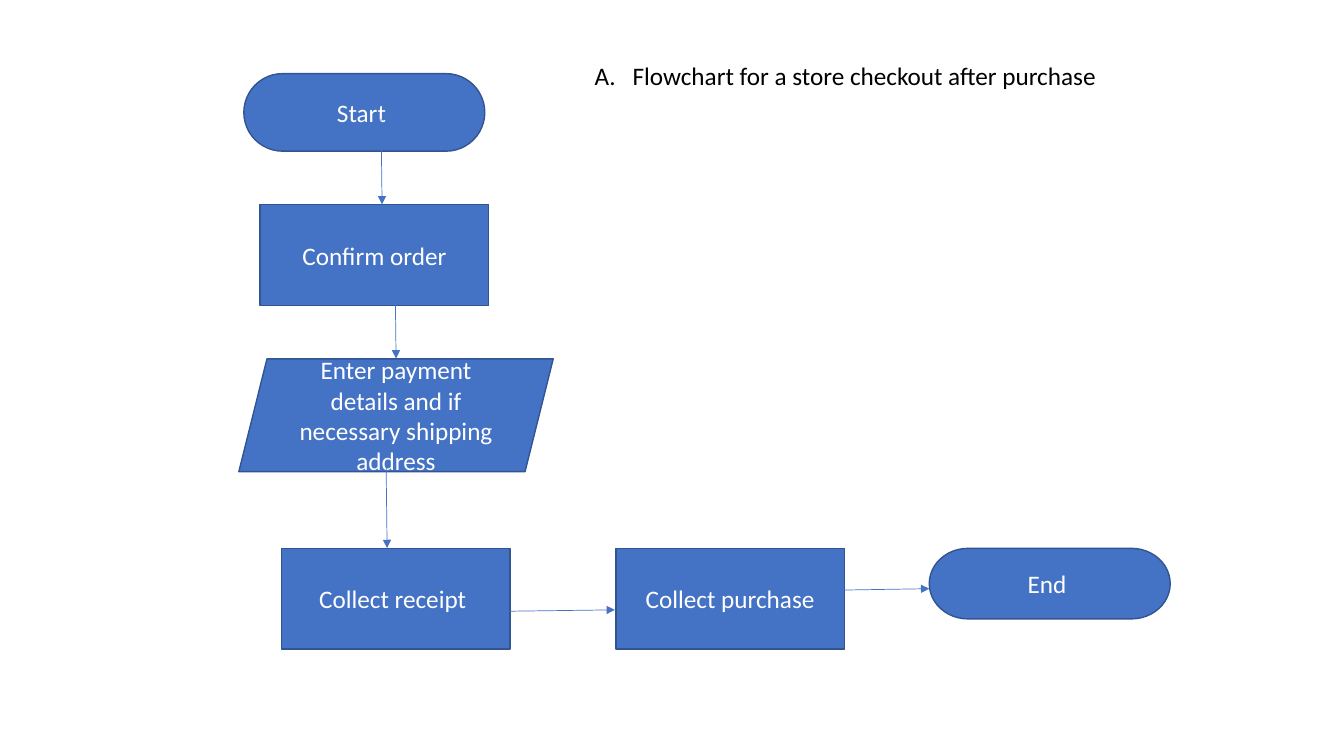
from lxml.etree import SubElement
from pptx import Presentation
from pptx.dml.color import RGBColor
from pptx.enum.shapes import MSO_CONNECTOR, MSO_SHAPE
from pptx.enum.text import MSO_ANCHOR, MSO_AUTO_SIZE, PP_ALIGN
from pptx.oxml.ns import qn
from pptx.util import Pt

COLORS = {"box": "4472C4", "outline": "325491", "light": "FFFFFF", "dark": "000000"}
FONT = {"name": "Calibri", "size": Pt(18), "bold": False}
MARGINS = {"margin_left": Pt(7.2), "margin_right": Pt(7.2),
           "margin_top": Pt(3.6), "margin_bottom": Pt(3.6)}


def apply_format(target, values):
    for name, value in values.items():
        setattr(target, name, value)


class FlowchartSlide:
    def __init__(self, presentation):
        self.slide = presentation.slides.add_slide(presentation.slide_layouts[5])

    def color(self, name):
        return RGBColor.from_string(COLORS[name])

    def label(self, shape, text, color, alignment, anchor):
        frame = shape.text_frame
        frame.text = text
        apply_format(frame, {**MARGINS, "word_wrap": True, "vertical_anchor": anchor,
                             "auto_size": MSO_AUTO_SIZE.NONE})
        paragraph = frame.paragraphs[0]
        paragraph.alignment = alignment
        font = paragraph.runs[0].font
        apply_format(font, FONT)
        font.color.rgb = self.color(color)
        return paragraph

    def title(self, text, left, top, width, height):
        shape = self.slide.shapes.title
        apply_format(shape, {"left": Pt(left), "top": Pt(top),
                             "width": Pt(width), "height": Pt(height)})
        paragraph = self.label(shape, text, "dark", PP_ALIGN.LEFT, MSO_ANCHOR.TOP)
        # Lettered list marker with a hanging indent
        properties = paragraph._p.get_or_add_pPr()
        properties.set("marL", str(Pt(27)))
        properties.set("indent", str(-Pt(27)))
        SubElement(properties, qn("a:buFont"), typeface="+mj-lt")
        SubElement(properties, qn("a:buAutoNum"), type="alphaUcPeriod")

    def step(self, kind, text, left, top, width, height):
        shape = self.slide.shapes.add_shape(kind, Pt(left), Pt(top), Pt(width), Pt(height))
        shape.shadow.inherit = False
        shape.fill.solid()
        shape.fill.fore_color.rgb = self.color("box")
        shape.line.color.rgb = self.color("outline")
        shape.line.width = Pt(1)
        self.label(shape, text, "light", PP_ALIGN.CENTER, MSO_ANCHOR.MIDDLE)

    def arrow(self, *ends):
        connector = self.slide.shapes.add_connector(
            MSO_CONNECTOR.STRAIGHT, *(Pt(value) for value in ends))
        connector.line.color.rgb = self.color("box")
        connector.line.width = Pt(0.5)
        SubElement(connector.line._get_or_add_ln(), qn("a:tailEnd"), type="triangle")
        SubElement(connector._element.spPr, qn("a:effectLst"))


def main():
    presentation = Presentation()
    apply_format(presentation, {"slide_width": Pt(960), "slide_height": Pt(540)})
    flowchart = FlowchartSlide(presentation)
    flowchart.title("Flowchart for a store checkout after purchase", 417.6, 39.6, 487.4, 28.8)

    # Steps
    terminator_width = 172.1
    box = (163.4, 72)
    bottom_row = 391.7
    terminator, process = MSO_SHAPE.FLOWCHART_TERMINATOR, MSO_SHAPE.RECTANGLE
    for step in (
        (terminator, "End ", 663.8, bottom_row, terminator_width, 50.4),
        (terminator, "Start ", 174.2, 52.6, terminator_width, 55.4),
        (process, "Confirm order", 185.8, 146.2, *box),
        (process, "Collect receipt ", 200.9, bottom_row, *box),
        (MSO_SHAPE.PARALLELOGRAM, "Enter payment details and if necessary shipping address",
         170.6, 256.3, 224.6, 80.6),
        (process, "Collect purchase", 439.9, bottom_row, *box),
    ):
        flowchart.step(*step)

    # Downward arrows: start x, start y, all of the same length and slant
    for x, y in ((272.2, 85), (282.2, 195.1), (275.8, 330.5)):
        flowchart.arrow(x, y, x + 0.7, y + 61)

    # Arrows along the bottom row
    flowchart.arrow(332.6, 437, 439.2, 435.6)
    flowchart.arrow(576, 421.9, 663.8, 420.5)

    presentation.save("out.pptx")


if __name__ == "__main__":
    main()
